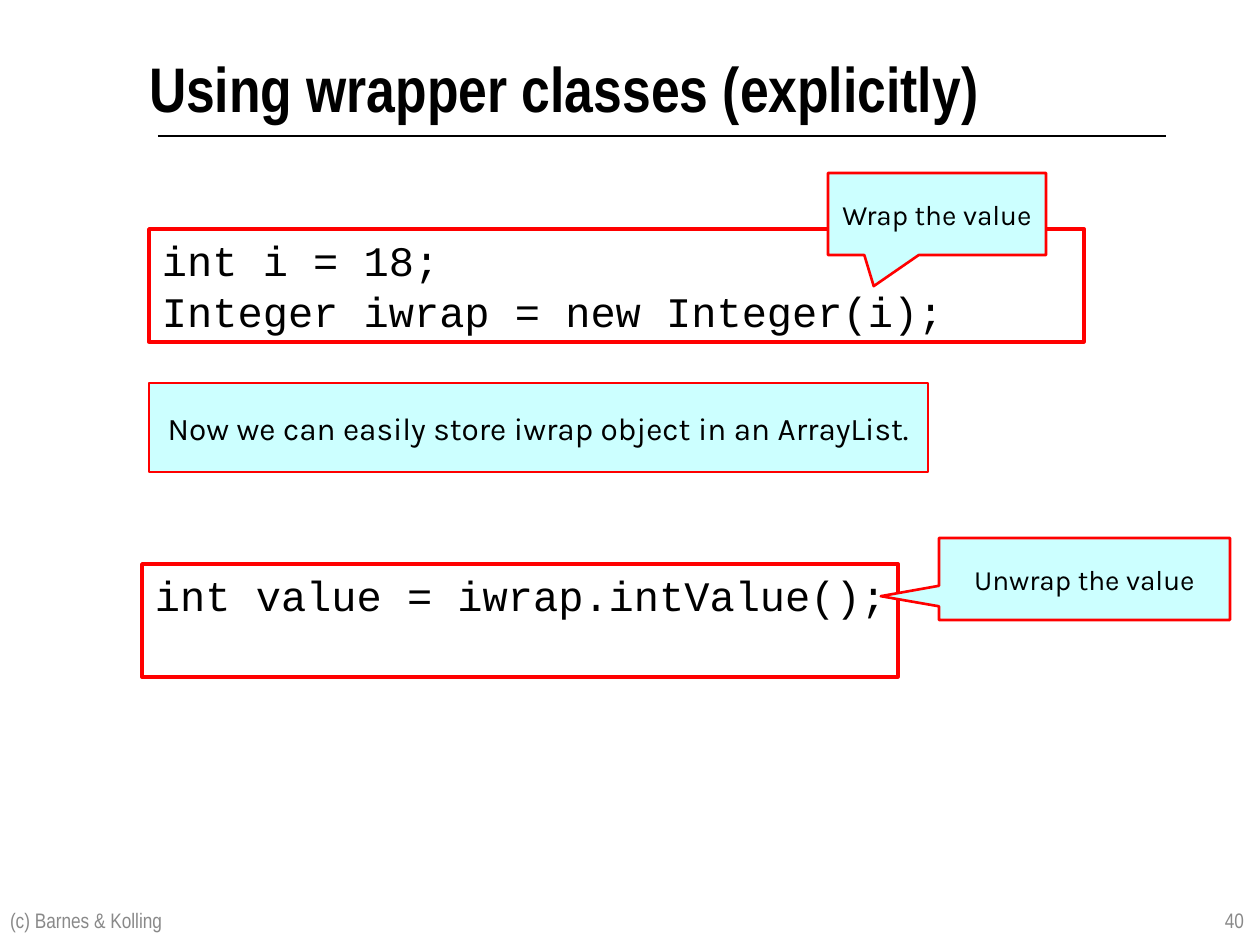
from lxml import etree
from pptx import Presentation
from pptx.dml.color import RGBColor
from pptx.enum.shapes import MSO_CONNECTOR as Link, MSO_SHAPE as Shape
from pptx.enum.text import MSO_ANCHOR as Anchor, PP_ALIGN as Align
from pptx.oxml.ns import qn
from pptx.util import Emu, Pt

# Content: text lines and boxes (left, top, width, height) in px
TITLE = "Using wrapper classes (explicitly)", (149, 49, 964, 95)
RULE = 158, 136, 1166, 136
FOOT = [
    ("(c) Barnes & Kolling", (-3, 895, 624, 50), Align.LEFT),
    ("40", (963, 895, 294, 50), Align.RIGHT),
]
CODE = [
    (["int i = 18;", "Integer iwrap = new Integer(i);"], (149, 229, 935, 113), True),
    (["int value = iwrap.intValue();"], (142, 564, 756, 113), False),
]
# text, box, size, callout tip as a share of the box
NOTES = [
    ("Wrap the value", (828, 173, 218, 82), 16, (-0.29, 0.88)),
    ("Now we can easily store iwrap object in an ArrayList.", (149, 383, 779, 89), 18, None),
    ("Unwrap the value", (939, 538, 291, 82), 16, (-0.7, 0.21)),
]
RED, CYAN, WHITE, BLACK, GREY = "FF0000", "CCFFFF", "FFFFFF", "000000", "898989"
NARROW, MONO, SANS = "Arial Narrow", "Courier New", "Karla"


def px(*nums):
    return [Emu(n * 914400 // 126) for n in nums]


def color(code):
    return RGBColor.from_string(code)


def write(shape, lines, font, size, ink=BLACK, bold=False,
          align=Align.LEFT, anchor=Anchor.MIDDLE, wrap=True, pad=(13, 6)):
    frame = shape.text_frame
    frame.word_wrap = wrap
    frame.vertical_anchor = anchor
    frame.margin_left = frame.margin_right = px(pad[0])[0]
    frame.margin_top = frame.margin_bottom = px(pad[1])[0]
    frame.text = "\n".join(lines)
    for para in frame.paragraphs:
        para.alignment = align
        for run in para.runs:
            run.font.name, run.font.size, run.font.bold = font, Pt(size), bold
            run.font.color.rgb = color(ink)


def panel(slide, kind, box, fill, width):
    shape = slide.shapes.add_shape(kind, *px(*box))
    shape.shadow.inherit = False
    shape.fill.solid()
    shape.fill.fore_color.rgb = color(fill)
    shape.line.color.rgb = color(RED)
    shape.line.width = Pt(width)
    return shape


def main():
    deck = Presentation()
    deck.slide_width, deck.slide_height = px(1260, 945)
    slide = deck.slides.add_slide(deck.slide_layouts[5])

    # Title and the rule below it
    text, box = TITLE
    head = slide.shapes.title
    head.left, head.top, head.width, head.height = px(*box)
    write(head, [text], NARROW, 36, bold=True, anchor=Anchor.TOP, pad=(0, 0))
    rule = slide.shapes.add_connector(Link.STRAIGHT, *px(*RULE))
    rule.line.color.rgb = color(BLACK)
    rule.line.width = Pt(0.75)
    etree.SubElement(rule._element.spPr, qn("a:effectLst"))

    # Footer
    for text, box, align in FOOT:
        write(slide.shapes.add_textbox(*px(*box)), [text], NARROW, 12, GREY, align=align)

    # Code panels
    for lines, box, wrap in CODE:
        shape = panel(slide, Shape.RECTANGLE, box, WHITE, 2)
        write(shape, lines, MONO, 24, anchor=Anchor.TOP, wrap=wrap)

    # Notes and callouts
    for text, box, size, tip in NOTES:
        kind = Shape.RECTANGULAR_CALLOUT if tip else Shape.RECTANGLE
        shape = panel(slide, kind, box, CYAN, 1.5)
        for i, share in enumerate(tip or ()):
            shape.adjustments[i] = share
        write(shape, [text], SANS, size, align=Align.CENTER)

    deck.save("out.pptx")


if __name__ == "__main__":
    main()
